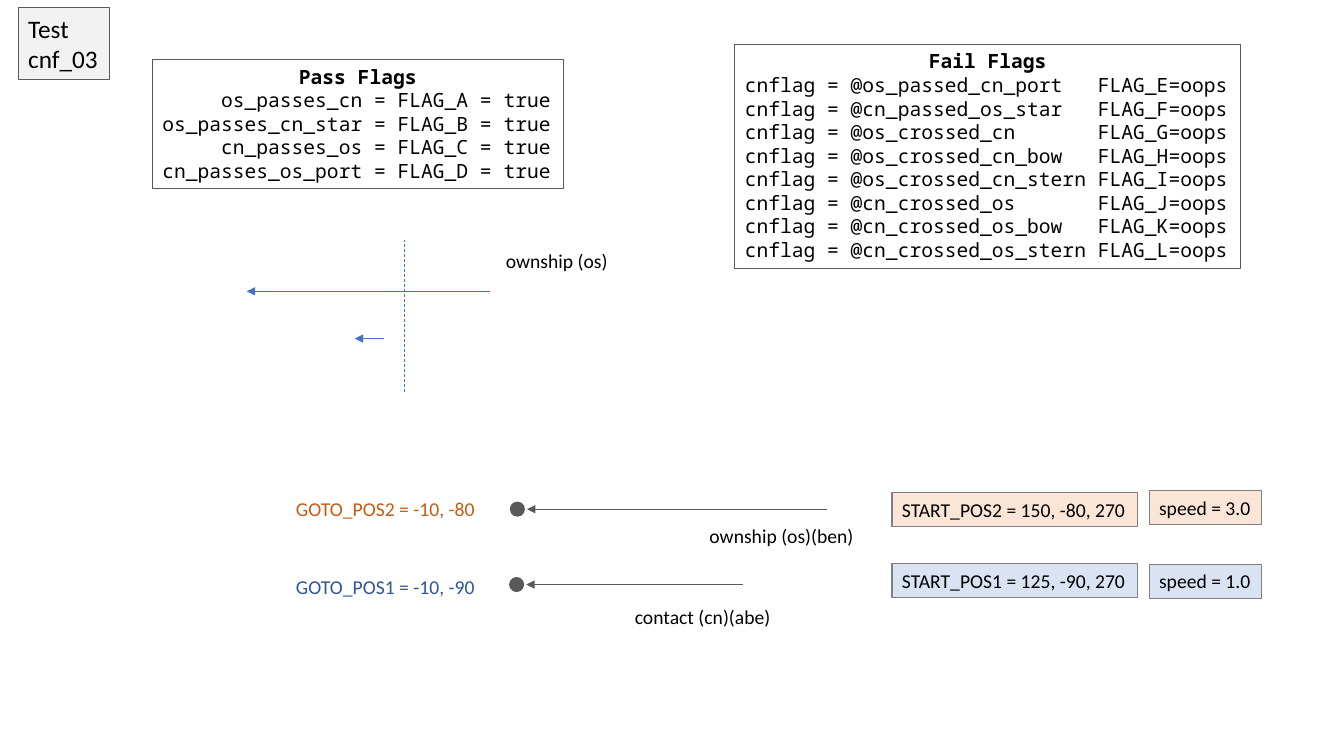
from dataclasses import dataclass

from lxml import etree
from pptx import Presentation
from pptx import util as u
from pptx.dml.color import RGBColor
from pptx.enum import dml, shapes, text
from pptx.oxml.ns import qn


@dataclass(frozen=True)
class Theme:
    sans: str = "Calibri"
    mono: str = "Noto Sans Mono"
    body: int = 14
    title: int = 18
    box_line: float = 0.75
    arrow_line: float = 0.5
    black: str = "000000"
    dark: str = "595959"
    grey: str = "808080"
    pale: str = "F2F2F2"
    blue: str = "4472C4"
    blue_text: str = "2F5597"
    blue_fill: str = "DAE3F3"
    orange_text: str = "C55A11"
    orange_fill: str = "FBE5D6"


THEME = Theme()
FLAG_TAB = u.Cm(8.9)

PASS_FLAGS = [
    "     os_passes_cn = FLAG_A = true",
    "os_passes_cn_star = FLAG_B = true",
    "     cn_passes_os = FLAG_C = true",
    "cn_passes_os_port = FLAG_D = true",
]
FAIL_EVENTS = [
    ("os_passed_cn_port", "E"),
    ("cn_passed_os_star", "F"),
    ("os_crossed_cn", "G"),
    ("os_crossed_cn_bow", "H"),
    ("os_crossed_cn_stern", "I"),
    ("cn_crossed_os", "J"),
    ("cn_crossed_os_bow", "K"),
    ("cn_crossed_os_stern", "L"),
]


def color(value):
    return RGBColor.from_string(value)


def add_run(paragraph, content, size=THEME.body, font=THEME.sans,
            ink=THEME.black, bold=False):
    run = paragraph.add_run()
    run.text = content
    run.font.size = u.Pt(size)
    run.font.name = font
    run.font.bold = bold
    run.font.color.rgb = color(ink)


def prepare_frame(shape):
    frame = shape.text_frame
    frame.word_wrap = False
    frame.auto_size = text.MSO_AUTO_SIZE.SHAPE_TO_FIT_TEXT
    frame.vertical_anchor = text.MSO_ANCHOR.TOP
    return frame


def add_lines(frame, lines, **style):
    for index, line in enumerate(lines):
        paragraph = frame.add_paragraph() if index else frame.paragraphs[0]
        paragraph.alignment = text.PP_ALIGN.LEFT
        add_run(paragraph, line, **style)


def add_label(slide, left, top, width, content, ink=THEME.black):
    label = slide.shapes.add_textbox(u.Cm(left), u.Cm(top), u.Cm(width), u.Cm(0.86))
    add_lines(prepare_frame(label), [content], ink=ink)


def add_box(slide, left, top, width, height, fill=None, line=THEME.dark):
    box = slide.shapes.add_shape(shapes.MSO_SHAPE.RECTANGLE, u.Cm(left), u.Cm(top),
                                 u.Cm(width), u.Cm(height))
    box.shadow.inherit = False
    if fill:
        box.fill.solid()
        box.fill.fore_color.rgb = color(fill)
    else:
        box.fill.background()
    box.line.color.rgb = color(line)
    box.line.width = u.Pt(THEME.box_line)
    return prepare_frame(box)


def add_value_box(slide, left, top, width, content, fill):
    add_lines(add_box(slide, left, top, width, 0.86, fill, THEME.grey), [content])


def add_tab_stop(paragraph, position):
    tab_list = etree.SubElement(paragraph._p.get_or_add_pPr(), qn("a:tabLst"))
    etree.SubElement(tab_list, qn("a:tab"), pos=str(int(position)), algn="l")


def add_flag_box(slide, left, top, width, height, heading, lines):
    frame = add_box(slide, left, top, width, height)
    title = frame.paragraphs[0]
    title.alignment = text.PP_ALIGN.CENTER
    add_run(title, heading, font=THEME.mono, bold=True)
    for line in lines:
        paragraph = frame.add_paragraph()
        paragraph.alignment = text.PP_ALIGN.LEFT
        if "\t" in line:
            add_tab_stop(paragraph, FLAG_TAB)
        add_run(paragraph, line, font=THEME.mono)


def add_line(slide, start, end, ink, arrow=True):
    line = slide.shapes.add_connector(shapes.MSO_CONNECTOR.STRAIGHT,
                                      *(u.Cm(value) for value in (*start, *end)))
    line.line.color.rgb = color(ink)
    line.line.width = u.Pt(THEME.arrow_line)
    if arrow:
        etree.SubElement(line.line._get_or_add_ln(), qn("a:tailEnd"), type="triangle")
    else:
        line.line.dash_style = dml.MSO_LINE.DASH
    etree.SubElement(line._element.spPr, qn("a:effectLst"))


def add_waypoint(slide, left, top):
    dot = slide.shapes.add_shape(shapes.MSO_SHAPE.OVAL, u.Cm(left), u.Cm(top),
                                 u.Cm(0.38), u.Cm(0.38))
    dot.shadow.inherit = False
    dot.fill.solid()
    dot.fill.fore_color.rgb = color(THEME.dark)
    dot.line.fill.background()


def add_track(slide, dot_left, axis, start):
    add_line(slide, (start, axis), (dot_left + 0.43, axis), THEME.dark)
    add_waypoint(slide, dot_left, axis - 0.19)


def main():
    presentation = Presentation()
    presentation.slide_width = u.Cm(33.87)
    presentation.slide_height = u.Cm(19.05)
    slide = presentation.slides.add_slide(presentation.slide_layouts[6])

    test_frame = add_box(slide, 0.46, 0.2, 2.29, 1.8, THEME.pale)
    add_lines(test_frame, ["Test", "cnf_03"], size=THEME.title)
    add_flag_box(slide, 3.84, 1.5, 10.36, 3.25, "Pass Flags", PASS_FLAGS)
    fail_flags = [f"cnflag = @{event}\tFLAG_{letter}=oops"
                  for event, letter in FAIL_EVENTS]
    add_flag_box(slide, 18.52, 1.12, 12.75, 5.64, "Fail Flags", fail_flags)

    add_line(slide, (12.34, 7.34), (6.22, 7.34), THEME.blue)
    add_line(slide, (9.68, 8.53), (8.94, 8.53), THEME.blue)
    add_line(slide, (10.19, 9.88), (10.19, 6.05), THEME.blue, arrow=False)
    add_label(slide, 12.5, 6.15, 3.1, "ownship (os)")

    add_track(slide, 12.85, 12.83, 20.83)
    add_label(slide, 7.21, 12.4, 5.05, "GOTO_POS2 = -10, -80", THEME.orange_text)
    add_label(slide, 17.63, 13.08, 4.19, "ownship (os)(ben)")
    add_value_box(slide, 22.48, 12.42, 6.2, "START_POS2 = 150, -80, 270", THEME.orange_fill)
    add_value_box(slide, 28.96, 12.37, 2.84, "speed = 3.0", THEME.orange_fill)

    add_track(slide, 12.83, 14.73, 18.72)
    add_label(slide, 7.21, 14.35, 5.18, "GOTO_POS1 = -10, -90", THEME.blue_text)
    add_label(slide, 15.75, 15.11, 3.96, "contact (cn)(abe)")
    add_value_box(slide, 22.48, 14.2, 6.2, "START_POS1 = 125, -90, 270", THEME.blue_fill)
    add_value_box(slide, 28.96, 14.22, 2.84, "speed = 1.0", THEME.blue_fill)

    presentation.save("out.pptx")


if __name__ == "__main__":
    main()
